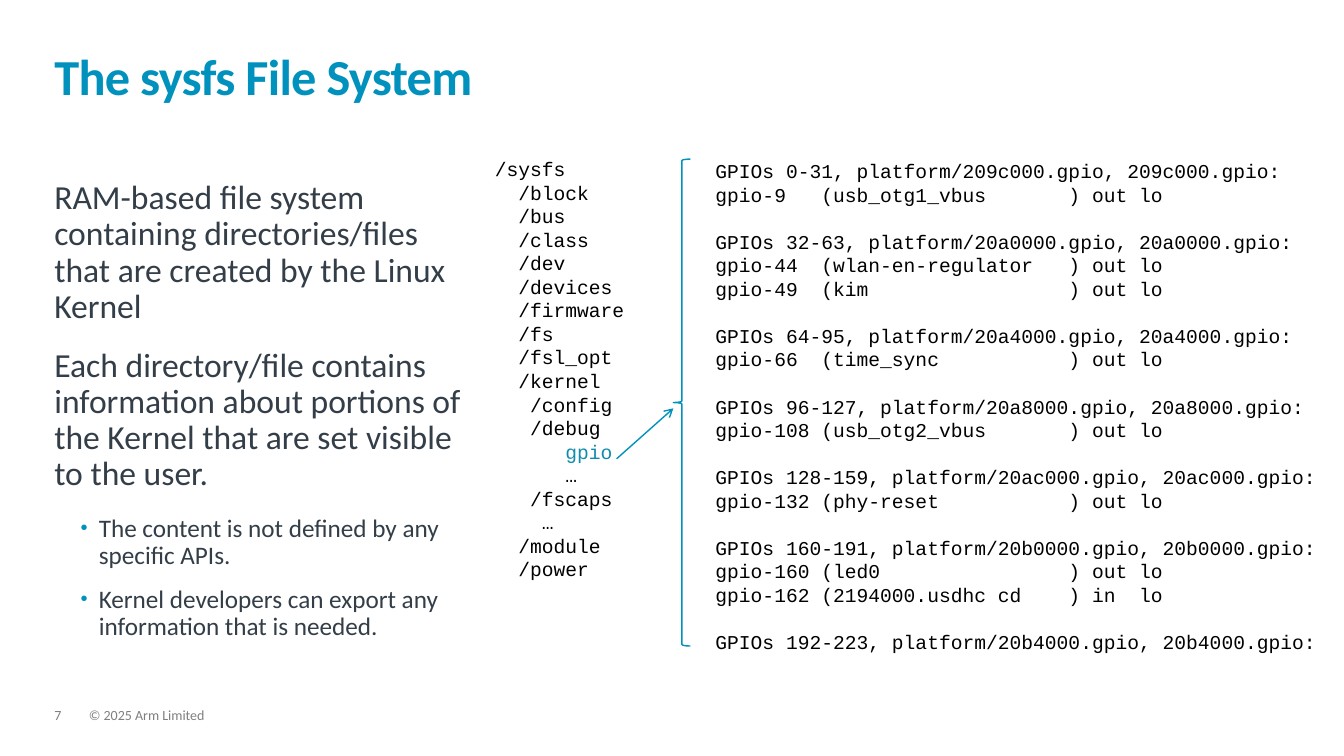
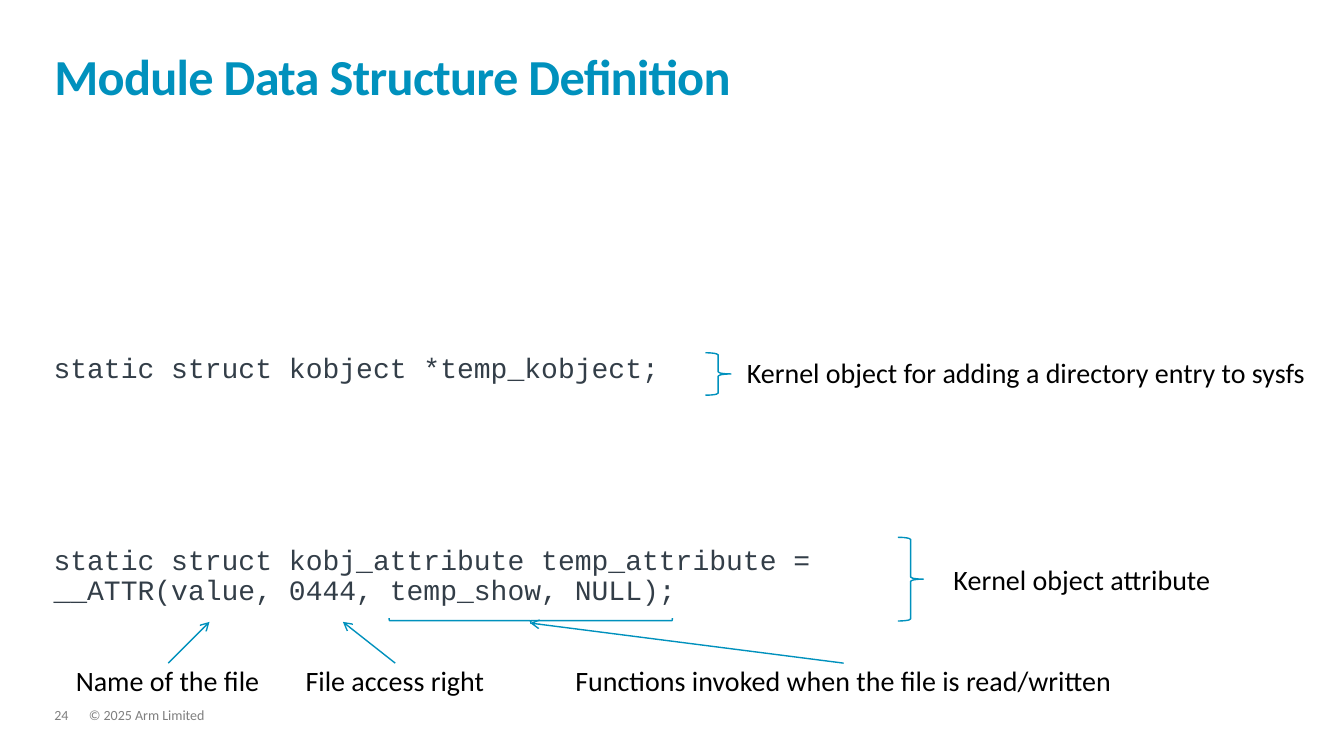
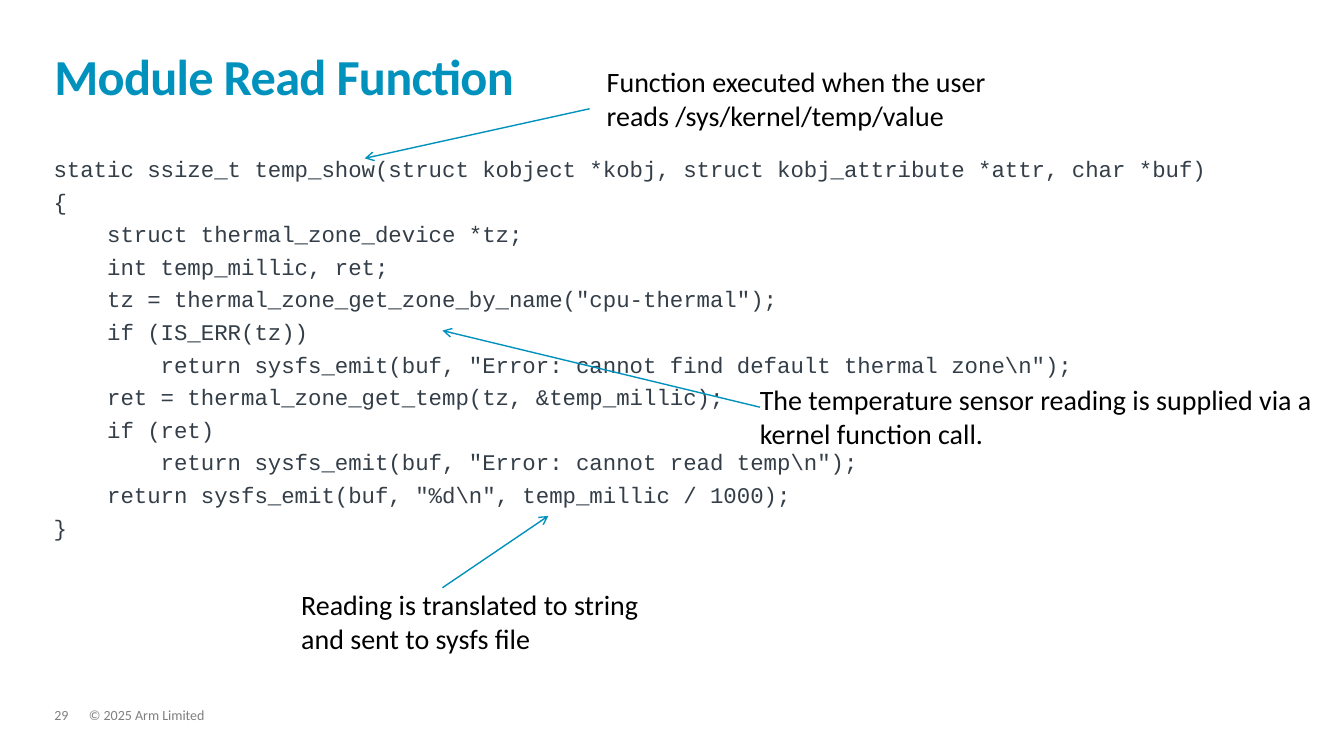
"""Build three slides on sysfs and a kernel module."""
from lxml import etree
from pptx import Presentation, util as u
from pptx.dml.color import RGBColor
from pptx.enum import shapes, text
from pptx.oxml.ns import qn

HUES = {"blue": "0091BD", "slate": "333E48", "grey": "7F7F7F", "black": "000000", "teal": "118CAB"}
SANS, MONO = "Calibri", "Courier New"
FRAME = {"margin_left": 0, "margin_right": 0, "margin_top": 0, "margin_bottom": 0,
         "word_wrap": True, "auto_size": text.MSO_AUTO_SIZE.NONE}
LOOKS = {
    "title": (SANS, 36, "blue", {"line_spacing": 0.85, "alignment": text.PP_ALIGN.LEFT}),
    "foot": (SANS, 10, "grey", {"line_spacing": 0.9}),
    "body": (SANS, 24, "slate", {"line_spacing": 0.9, "space_after": u.Pt(16)}),
    "list": (MONO, 14, "black", {}),
    "code": (MONO, 16, "slate", {"line_spacing": 0.9, "space_after": u.Pt(6)}),
    "large": (MONO, 20, "slate", {"line_spacing": 0.9, "space_after": u.Pt(6)}),
    "label": (SANS, 20, "black", {}),
}
LEFT = shapes.MSO_SHAPE.LEFT_BRACE
RIGHT = shapes.MSO_SHAPE.RIGHT_BRACE

deck = Presentation()
deck.slide_width, deck.slide_height = u.Cm(33.87), u.Cm(19.05)


def write(frame, lines, look):
    """Fill a text frame with one styled paragraph per line."""
    face, size, hue, form = LOOKS[look]
    for key, val in FRAME.items():
        setattr(frame, key, val)
    for num, line in enumerate(lines.split("\n")):
        para = frame.add_paragraph() if num else frame.paragraphs[0]
        for key, val in form.items():
            setattr(para, key, val)
        run = para.add_run()
        run.text = line
        for key, val in {"name": face, "size": u.Pt(size), "bold": look == "title"}.items():
            setattr(run.font, key, val)
        run.font.color.rgb = RGBColor.from_string(HUES[hue])
    return frame


def page(num, head, texts, braces, arrows):
    """Add a slide and return its text frames."""
    slide = deck.slides.add_slide(deck.slide_layouts[5])
    title = slide.shapes.title
    for key, val in {"left": 1.37, "top": 0.81, "width": 31.06, "height": 1.85}.items():
        setattr(title, key, u.Cm(val))
    frame = write(title.text_frame, head, "title")
    frame.vertical_anchor = text.MSO_ANCHOR.BOTTOM
    frame.paragraphs[0].runs[0].font._element.set("spc", "-50")
    foot = [((2.24, 17.86, 23.19, 0.38), "© 2025 Arm Limited", "foot"),
            ((1.37, 17.86, 0.86, 0.38), str(num), "foot")]
    frames = [write(slide.shapes.add_textbox(*map(u.Cm, at)).text_frame, lines, look)
              for at, lines, look in texts + foot]
    for kind, at, turn in braces:
        brace = slide.shapes.add_shape(kind, *map(u.Cm, at))
        brace.rotation = turn
        brace.shadow.inherit = False
        brace.fill.background()
        brace.line.color.rgb = RGBColor.from_string(HUES["blue"])
        brace.line.width = u.Pt(1)
    for ends in arrows:
        arrow = slide.shapes.add_connector(shapes.MSO_CONNECTOR.STRAIGHT, *map(u.Cm, ends))
        arrow.line.color.rgb = RGBColor.from_string(HUES["blue"])
        arrow.line.width = u.Pt(1)
        props = arrow._element.spPr
        etree.SubElement(props.find(qn("a:ln")), qn("a:tailEnd"), type="arrow")
        etree.SubElement(props, qn("a:effectLst"))
    return frames


INTRO = """RAM-based file system containing directories/files that are created by the Linux Kernel
Each directory/file contains information about portions of the Kernel that are set visible to the user.
The content is not defined by any specific APIs.
Kernel developers can export any information that is needed."""

TREE = """/sysfs
  /block
  /bus
  /class
  /dev
  /devices
  /firmware
  /fs
  /fsl_opt
  /kernel
   /config
   /debug
      gpio
      …
   /fscaps
    …
  /module
  /power"""

PINS = """GPIOs 0-31, platform/209c000.gpio, 209c000.gpio:
gpio-9   (usb_otg1_vbus       ) out lo
GPIOs 32-63, platform/20a0000.gpio, 20a0000.gpio:
gpio-44  (wlan-en-regulator   ) out lo
gpio-49  (kim                 ) out lo
GPIOs 64-95, platform/20a4000.gpio, 20a4000.gpio:
gpio-66  (time_sync           ) out lo
GPIOs 96-127, platform/20a8000.gpio, 20a8000.gpio:
gpio-108 (usb_otg2_vbus       ) out lo
GPIOs 128-159, platform/20ac000.gpio, 20ac000.gpio:
gpio-132 (phy-reset           ) out lo
GPIOs 160-191, platform/20b0000.gpio, 20b0000.gpio:
gpio-160 (led0                ) out lo
gpio-162 (2194000.usdhc cd    ) in  lo
GPIOs 192-223, platform/20b4000.gpio, 20b4000.gpio:"""

intro, tree, pins, *rest = page(
    7, "The sysfs File System",
    [((1.37, 4.55, 10.69, 11.35), INTRO, "body"),
     ((12.47, 3.96, 4.3, 12.27), TREE, "list"),
     ((18.03, 4.01, 15.8, 13.54), PINS, "list")],
    [(LEFT, (16.97, 4.01, 0.43, 12.27), 0)],
    [(15.54, 11.56, 16.97, 10.29)])

for para in intro.paragraphs[2:]:
    para.level = 1
    para.space_after = u.Pt(12)
    para.runs[0].font.size = u.Pt(18)
    props = para._p.get_or_add_pPr()
    props.set("marL", str(int(u.Cm(1.12))))
    props.set("indent", str(int(u.Cm(-0.46))))
    tint = etree.SubElement(props, qn("a:buClr"))
    etree.SubElement(tint, qn("a:srgbClr"), val=HUES["blue"])
    etree.SubElement(props, qn("a:buSzPct"), val="80000")
    etree.SubElement(props, qn("a:buFont"), typeface="Arial")
    etree.SubElement(props, qn("a:buChar"), char="•")

for para in tree.paragraphs:
    if para.text.strip() == "gpio":
        para.runs[0].font.color.rgb = RGBColor.from_string(HUES["teal"])

for para in pins.paragraphs[1:]:
    if para.text.startswith("GPIOs"):
        para.space_before = u.Pt(16.8)

DATA = """static struct kobject *temp_kobject;
static struct kobj_attribute temp_attribute = __ATTR(value, 0444, temp_show, NULL);"""

data, *rest = page(
    24, "Module Data Structure Definition",
    [((1.35, 8.94, 21.51, 7), DATA, "large"),
     ((18.82, 8.97, 14.9, 0.86), "Kernel object for adding a directory entry to sysfs", "label"),
     ((24.03, 14.17, 7, 0.86), "Kernel object attribute", "label"),
     ((1.91, 16.71, 5, 0.86), "Name of the file", "label"),
     ((7.7, 16.71, 5, 0.86), "File access right", "label"),
     ((14.5, 16.71, 14, 0.86), "Functions invoked when the file is read/written", "label")],
    [(RIGHT, (17.78, 8.89, 0.64, 1.07), 0),
     (RIGHT, (22.63, 13.54, 0.64, 2.11), 0),
     (RIGHT, (13.31, 12.07, 0.13, 7.14), 90)],
    [(4.24, 16.71, 5.28, 15.67),
     (9.96, 16.71, 8.64, 15.67),
     (21.26, 16.71, 13.36, 15.7)])
data.paragraphs[1].space_before = u.Pt(109)

READ = r"""static ssize_t temp_show(struct kobject *kobj, struct kobj_attribute *attr, char *buf)
{
    struct thermal_zone_device *tz;
    int temp_millic, ret;
    tz = thermal_zone_get_zone_by_name("cpu-thermal");
    if (IS_ERR(tz))
        return sysfs_emit(buf, "Error: cannot find default thermal zone\n");
    ret = thermal_zone_get_temp(tz, &temp_millic);
    if (ret)
        return sysfs_emit(buf, "Error: cannot read temp\n");
    return sysfs_emit(buf, "%d\n", temp_millic / 1000);
}"""

page(
    29, "Module Read Function",
    [((1.35, 3.99, 30.99, 13), READ, "code"),
     ((19.15, 9.65, 14.6, 1.7),
      "The temperature sensor reading is supplied via a kernel function call.", "label"),
     ((7.59, 14.81, 9.25, 1.7), "Reading is translated to string and sent to sysfs file", "label"),
     ((15.29, 1.63, 10.54, 1.7),
      "Function executed when the user reads /sys/kernel/temp/value", "label")],
    [],
    [(19.15, 10.26, 11.15, 8.33),
     (11.15, 14.81, 13.82, 13),
     (14.86, 2.74, 9.19, 3.99)])

deck.save("out.pptx")
